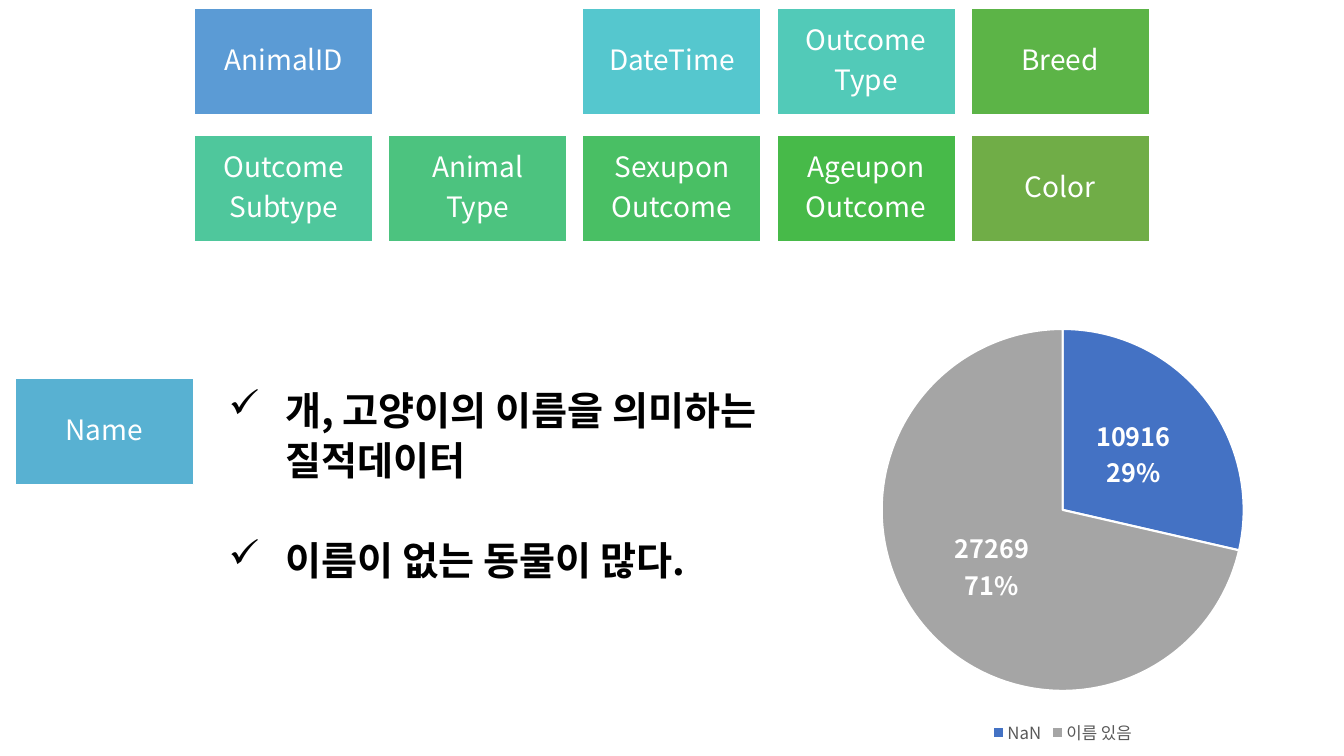
from lxml.etree import SubElement
from pptx import Presentation
from pptx.chart.data import CategoryChartData
from pptx.dml.color import RGBColor
from pptx.enum.chart import XL_CHART_TYPE, XL_LABEL_POSITION, XL_LEGEND_POSITION
from pptx.enum.shapes import MSO_SHAPE
from pptx.enum.text import MSO_ANCHOR, PP_ALIGN
from pptx.oxml import parse_xml
from pptx.oxml.ns import nsdecls, qn
from pptx.util import Inches, Pt

FONT = "Noto Sans CJK KR"
WHITE = RGBColor(0xFF, 0xFF, 0xFF)
BLACK = RGBColor(0x00, 0x00, 0x00)
LEGEND_GRAY = RGBColor(0x59, 0x59, 0x59)
NAME_BLUE = RGBColor(0x58, 0xB1, 0xD2)
SLICE_COLORS = [RGBColor(0x44, 0x72, 0xC4), RGBColor(0xA5, 0xA5, 0xA5)]

# Tile grid, in inches
GRID_LEFT, GRID_TOP = 1.93, 0.08
COLUMN_STEP, ROW_STEP = 1.925, 1.26
TILE_WIDTH, TILE_HEIGHT = 1.77, 1.06
NAME_LEFT, NAME_TOP = 0.15, 3.75

# Column, row, lines of text, fill
TILES = [
    (0, 0, ["AnimalID"], RGBColor(0x5B, 0x9B, 0xD5)),
    (2, 0, ["DateTime"], RGBColor(0x55, 0xC7, 0xCE)),
    (3, 0, ["Outcome", "Type"], RGBColor(0x52, 0xCA, 0xB8)),
    (4, 0, ["Breed"], RGBColor(0x5C, 0xB4, 0x47)),
    (0, 1, ["Outcome", "Subtype"], RGBColor(0x4F, 0xC7, 0x9C)),
    (1, 1, ["Animal", "Type"], RGBColor(0x4C, 0xC3, 0x7F)),
    (2, 1, ["Sexupon", "Outcome"], RGBColor(0x49, 0xBF, 0x64)),
    (3, 1, ["Ageupon", "Outcome"], RGBColor(0x47, 0xBA, 0x49)),
    (4, 1, ["Color"], RGBColor(0x70, 0xAD, 0x47)),
]
NOTES = [["개, 고양이의 이름을 의미하는", "질적데이터"], ["이름이 없는 동물이 많다."]]


def style_font(font, size, color, bold=False):
    font.name, font.size, font.bold = FONT, Pt(size), bold
    font.color.rgb = color


def add_span(para, text, size, color, bold=False):
    span = para.add_run()
    span.text = text
    style_font(span.font, size, color, bold)
    # Hangul uses the East Asian typeface slot
    latin = span.font._element.find(qn("a:latin"))
    latin.addnext(parse_xml(f'<a:ea {nsdecls("a")} typeface="{FONT}"/>'))


def add_tile(page, left, top, lines, fill):
    tile = page.shapes.add_shape(
        MSO_SHAPE.RECTANGLE, Inches(left), Inches(top),
        Inches(TILE_WIDTH), Inches(TILE_HEIGHT))
    tile.shadow.inherit = False
    tile.fill.solid()
    tile.fill.fore_color.rgb = fill
    tile.line.color.rgb = WHITE
    tile.line.width = Pt(1)
    frame = tile.text_frame
    frame.word_wrap = True
    frame.vertical_anchor = MSO_ANCHOR.MIDDLE
    frame.margin_left = frame.margin_right = Inches(0.15)
    frame.margin_top = frame.margin_bottom = Inches(0.15)
    for index, line in enumerate(lines):
        para = frame.add_paragraph() if index else frame.paragraphs[0]
        para.alignment = PP_ALIGN.CENTER
        para.line_spacing = 0.9
        para.space_after = Pt(7)
        add_span(para, line, 20, WHITE)


def add_notes(page, notes):
    box = page.shapes.add_textbox(
        Inches(2.17), Inches(3.75), Inches(5.71), Inches(2.09))
    frame = box.text_frame
    frame.word_wrap = True
    frame.margin_right = 0
    for index, lines in enumerate(notes):
        para = frame.add_paragraph() if index else frame.paragraphs[0]
        para.line_spacing = 1.07
        if index:
            para.space_before = Pt(35.5)
        # Hanging check mark
        properties = para._p.get_or_add_pPr()
        properties.set("marL", str(Inches(0.56)))
        properties.set("indent", str(-Inches(0.56)))
        SubElement(properties, qn("a:buChar")).set("char", "✓")
        for number, line in enumerate(lines):
            if number:
                para.add_line_break()
            add_span(para, line, 28, BLACK, bold=True)


def place_pie(chart, left, top, width, height):
    """Fix the plot area, in shares of the chart frame."""
    area = chart._chartSpace.chart.plotArea
    for old in area.findall(qn("c:layout")):
        area.remove(old)
    area.insert(0, parse_xml(
        f'<c:layout {nsdecls("c")}><c:manualLayout><c:layoutTarget val="inner"/>'
        f'<c:xMode val="edge"/><c:yMode val="edge"/><c:x val="{left}"/>'
        f'<c:y val="{top}"/><c:w val="{width}"/><c:h val="{height}"/>'
        f'</c:manualLayout></c:layout>'))


def add_name_pie(page):
    data = CategoryChartData()
    data.categories = ["NaN", "이름 있음"]
    data.add_series("Series 1", [10916, 27269])
    chart = page.shapes.add_chart(
        XL_CHART_TYPE.PIE, Inches(7.82), Inches(3.12),
        Inches(5.44), Inches(4.31), data).chart
    chart.has_title = False
    style_font(chart.font, 10, BLACK)
    place_pie(chart, 0.17, 0.03, 0.66, 0.84)

    # Legend
    chart.has_legend = True
    chart.legend.position = XL_LEGEND_POSITION.BOTTOM
    chart.legend.include_in_layout = False
    style_font(chart.legend.font, 12, LEGEND_GRAY)

    # Slices
    plot = chart.plots[0]
    plot.vary_by_categories = True
    for index, color in enumerate(SLICE_COLORS):
        slice_format = plot.series[0].points[index].format
        slice_format.fill.solid()
        slice_format.fill.fore_color.rgb = color
        slice_format.line.color.rgb = WHITE
        slice_format.line.width = Pt(1.5)

    # Value above percentage
    labels = plot.series[0].data_labels
    labels.show_value = labels.show_percentage = True
    labels.position = XL_LABEL_POSITION.CENTER
    style_font(labels.font, 18, WHITE, bold=True)
    separator = parse_xml(f'<c:separator {nsdecls("c")}>\n</c:separator>')
    labels._element.find(qn("c:showBubbleSize")).addnext(separator)


def main():
    deck = Presentation()
    deck.slide_width, deck.slide_height = Inches(13.33), Inches(7.5)
    page = deck.slides.add_slide(deck.slide_layouts[6])
    for column, row, lines, fill in TILES:
        add_tile(page, GRID_LEFT + column * COLUMN_STEP,
                 GRID_TOP + row * ROW_STEP, lines, fill)
    add_tile(page, NAME_LEFT, NAME_TOP, ["Name"], NAME_BLUE)
    add_notes(page, NOTES)
    add_name_pie(page)
    deck.save("out.pptx")


if __name__ == "__main__":
    main()
